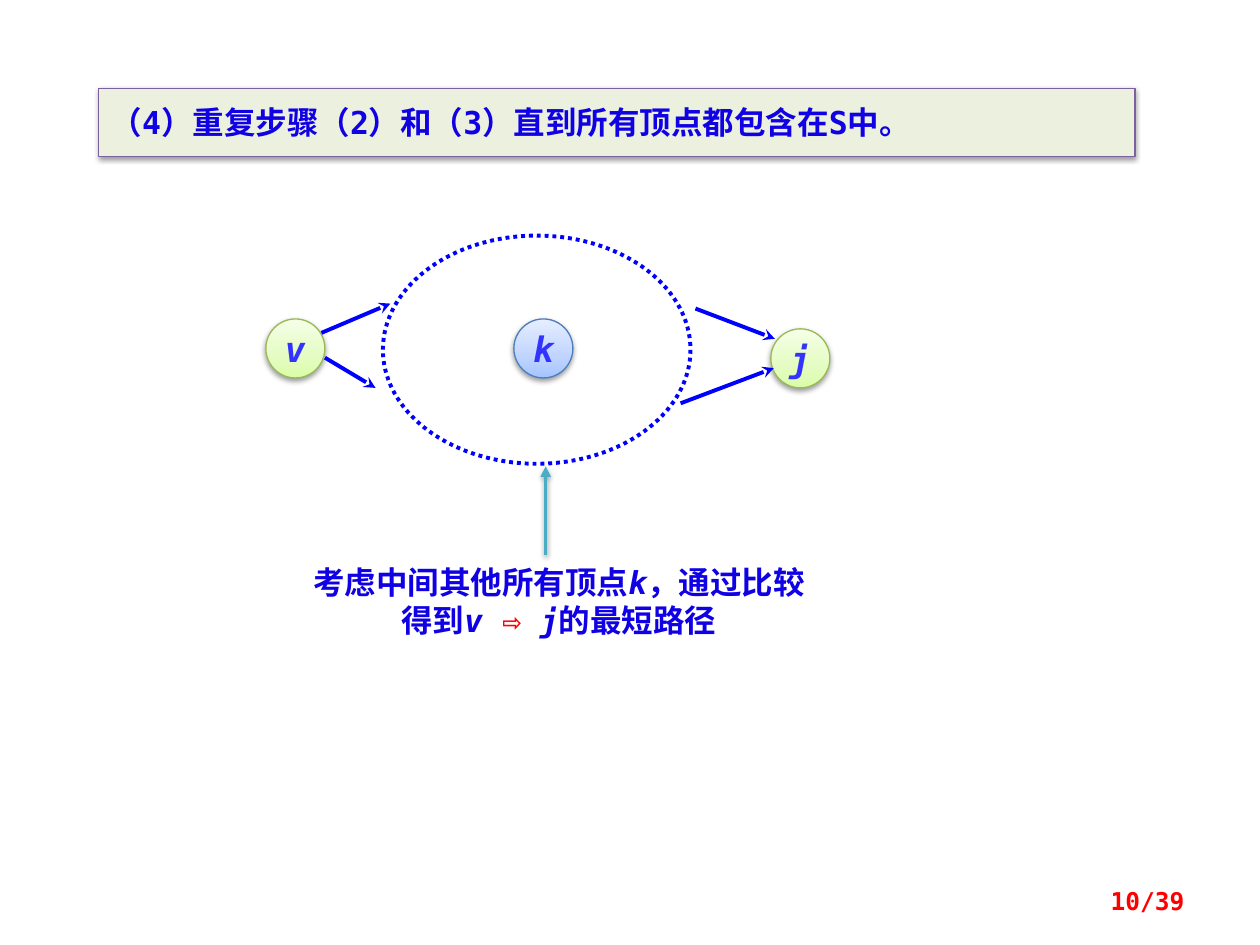
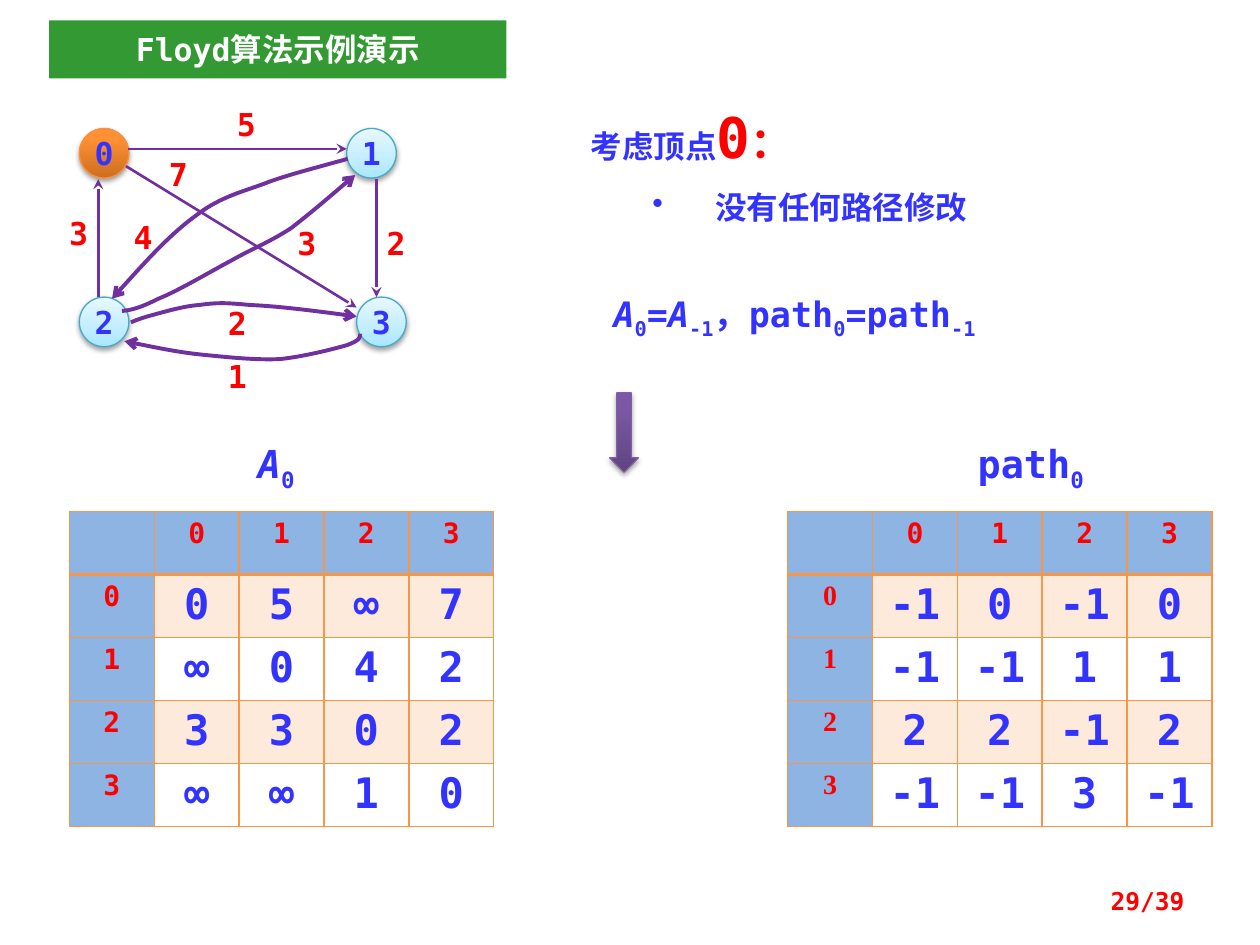
from copy import deepcopy
from lxml.etree import SubElement
from pptx import Presentation
from pptx.dml.color import RGBColor
from pptx.enum.dml import MSO_LINE
from pptx.enum.shapes import MSO_CONNECTOR, MSO_SHAPE
from pptx.enum.text import MSO_ANCHOR, PP_ALIGN
from pptx.oxml.ns import qn
from pptx.util import Cm, Pt

COLORS = {
    "ink": "1000E4", "blue": "3333FF", "red": "FF0000", "white": "FFFFFF",
    "arrow": "0000FF", "pointer": "4BACC6", "edge": "7030A0",
    "banner": "EBF1DE", "banner_line": "7D60A0", "title": "339933",
    "grid": "F79646", "head": "8EB4E3", "stripe": "FDEADA",
}
# Gradient stops from bottom to top, then the outline colour
GRADIENTS = {
    "green": ([(0, "DAFDA7"), (.35, "E4FCC2"), (1, "F5FFE7")], "98B955"),
    "blue": ([(0, "A4C4FF"), (.35, "BFD4FF"), (1, "E6EEFF")], "4B7EBC"),
    "cyan": ([(0, "A7E6FF"), (.35, "C1EDFF"), (1, "E7F8FF")], "46AAC5"),
    "orange": ([(0, "CC6E20"), (.8, "FF9034"), (1, "FF9136")], "F69240"),
    "purple": ([(0, "5F4480"), (.8, "7B58A6"), (1, "7C57A8")], "7D60A0"),
}
MONO, CJK, SERIF = "DejaVu Sans Mono", "Noto Sans CJK SC", "Times New Roman"
LEFT, CENTER, RIGHT = PP_ALIGN.LEFT, PP_ALIGN.CENTER, PP_ALIGN.RIGHT
PAGE_TOTAL = 39
SUB, ITALIC = {"sub": True}, {"italic": True}


def rgb(name):
    return RGBColor.from_string(COLORS.get(name, name))


class Deck:
    def __init__(self):
        self.prs = Presentation()
        self.prs.slide_width, self.prs.slide_height = Cm(25.4), Cm(19.05)
        self.shapes = None

    def new_slide(self, number):
        self.shapes = self.prs.slides.add_slide(self.prs.slide_layouts[6]).shapes
        self.text((18.21, 17.65, 5.92, 1.02), f"{number}/{PAGE_TOTAL}", 14, "red",
                  RIGHT, anchor=MSO_ANCHOR.MIDDLE)

    # Text: a string, or pairs of string and run overrides
    def style_run(self, run, size, color, font=MONO, italic=False, sub=False):
        run.font.size, run.font.bold, run.font.italic = Pt(size), True, italic
        run.font.name = font
        run.font.color.rgb = rgb(color)
        props = run.font._element
        SubElement(props, qn("a:ea")).set("typeface", CJK)
        if sub:
            props.set("baseline", "-25000")

    def fill_text(self, frame, content, size, color, align=LEFT, **base):
        pieces = [(content, {})] if isinstance(content, str) else content
        paragraph = frame.paragraphs[0]
        paragraph.alignment = align
        for words, changes in pieces:
            run = paragraph.add_run()
            run.text = words
            self.style_run(run, **{"size": size, "color": color, **base, **changes})
        return paragraph

    def set_frame(self, frame, insets=(.25, .13), anchor=MSO_ANCHOR.TOP, wrap=True):
        frame.word_wrap, frame.vertical_anchor = wrap, anchor
        frame.margin_left = frame.margin_right = Cm(insets[0])
        frame.margin_top = frame.margin_bottom = Cm(insets[1])

    def text(self, box, content, size, color, align=LEFT, insets=(.25, .13),
             anchor=MSO_ANCHOR.TOP, **base):
        frame = self.shapes.add_textbox(*map(Cm, box)).text_frame
        self.set_frame(frame, insets, anchor)
        return self.fill_text(frame, content, size, color, align, **base)

    def bullet(self, box, content):
        paragraph = self.text(box, content, 18, "blue", font=CJK)
        props = paragraph._p.get_or_add_pPr()
        props.set("marL", str(Cm(1.27)))
        props.set("indent", str(-Cm(1.27)))
        SubElement(props, qn("a:buChar")).set("char", "•")

    # Shapes
    def shadow(self, props, alpha=38):
        effects = props.find(qn("a:effectLst"))
        outer = SubElement(effects, qn("a:outerShdw"), blurRad=str(Pt(3.1)),
                           dist=str(Pt(1.6)), dir="5400000", rotWithShape="0")
        tint = SubElement(outer, qn("a:srgbClr"), val="000000")
        SubElement(tint, qn("a:alpha"), val=str(alpha * 1000))

    def shape(self, kind, box, fill=None, line=None, width=.75):
        shape = self.shapes.add_shape(kind, *map(Cm, box))
        shape.shadow.inherit = False
        if fill:
            shape.fill.solid()
            shape.fill.fore_color.rgb = rgb(fill)
        else:
            shape.fill.background()
        if line:
            shape.line.color.rgb = rgb(line)
            shape.line.width = Pt(width)
        else:
            shape.line.fill.background()
        return shape

    def glossy(self, kind, box, look):
        stops, outline = GRADIENTS[look]
        shape = self.shape(kind, box, line=outline)
        shape.fill.gradient()
        shape.fill.gradient_angle = 90
        stop_list = shape._element.spPr.find(".//" + qn("a:gsLst"))
        stop_list.append(deepcopy(stop_list[1]))
        for stop, (position, color) in zip(shape.fill.gradient_stops, stops):
            stop.position = position
            stop.color.rgb = rgb(color)
        self.shadow(shape._element.spPr)
        return shape

    def node(self, label, left, top, look, diameter, size, italic=False):
        node = self.glossy(MSO_SHAPE.OVAL, (left, top, diameter, diameter), look)
        self.set_frame(node.text_frame, anchor=MSO_ANCHOR.MIDDLE, wrap=False)
        self.fill_text(node.text_frame, label, size, "blue", CENTER, italic=italic)

    def box(self, box, content, color, fill, line=None, align=LEFT, insets=(.25, .3)):
        box = self.shape(MSO_SHAPE.RECTANGLE, box, fill, line)
        self.set_frame(box.text_frame, insets)
        self.fill_text(box.text_frame, content, 18, color, align)
        return box

    # Lines
    def stroke(self, line, color, width, head):
        line.color.rgb = rgb(color)
        line.width = Pt(width)
        SubElement(line._get_or_add_ln(), qn("a:tailEnd"), type=head)

    def arrow(self, start, end, color, width, head="stealth"):
        arrow = self.shapes.add_connector(MSO_CONNECTOR.STRAIGHT,
                                          *map(Cm, (*start, *end)))
        self.stroke(arrow.line, color, width, head)
        SubElement(arrow._element.spPr, qn("a:effectLst"))
        return arrow

    def curve(self, points):
        """Start point, then two control points and an end point per Bezier part."""
        start, *rest = [(Cm(x), Cm(y)) for x, y in points]
        builder = self.shapes.build_freeform(*start)
        builder.add_line_segments(rest, close=False)
        curve = builder.convert_to_shape()
        curve.shadow.inherit = False
        curve.fill.background()
        self.stroke(curve.line, "edge", 2.25, "arrow")
        outline = curve._element.spPr.find(".//" + qn("a:path"))
        steps = outline.findall(qn("a:lnTo"))
        for i in range(0, len(steps), 3):
            part = SubElement(outline, qn("a:cubicBezTo"))
            for step in steps[i:i + 3]:
                part.append(step[0])
                outline.remove(step)

    # Matrix with index headers
    def matrix(self, left, top, values, index_font=MONO):
        count = len(values) + 1
        table = self.shapes.add_table(count, count, Cm(left), Cm(top),
                                      Cm(1.71 * count), Cm(1.27 * count)).table
        for part in table.columns:
            part.width = Cm(1.71)
        for part in table.rows:
            part.height = Cm(1.27)
        indexes = list(range(count - 1))
        grid = [["", *indexes]] + [[i, *row] for i, row in zip(indexes, values)]
        for r, row in enumerate(grid):
            for c, value in enumerate(row):
                cell = table.cell(r, c)
                self.borders(cell, {"T": 2 if r == 1 else 1, "B": 1 if r else 2})
                if r == 0 or c == 0:
                    fill, look = "head", (16, "red")
                else:
                    fill, look = "stripe" if r % 2 else None, (24, "blue")
                if fill:
                    cell.fill.solid()
                    cell.fill.fore_color.rgb = rgb(fill)
                else:
                    cell.fill.background()
                if value != "":
                    font = index_font if c == 0 else MONO
                    self.fill_text(cell.text_frame, str(value), *look, CENTER, font=font)

    def borders(self, cell, widths):
        props = cell._tc.get_or_add_tcPr()
        for side in "LRTB":
            line = SubElement(props, qn("a:ln" + side), w=str(Pt(widths.get(side, 1))))
            SubElement(SubElement(line, qn("a:solidFill")), qn("a:srgbClr"),
                       val=COLORS["grid"])


deck = Deck()

# Slide 10: last step of the algorithm
deck.new_slide(10)
step = deck.box((1.98, 1.78, 20.9, 1.37), "（4）重复步骤（2）和（3）直到所有顶点都包含在S中。",
                "ink", "banner", "banner_line", PP_ALIGN.JUSTIFY)
deck.shadow(step._element.spPr)

for label, left, top, look in [("v", 5.36, 6.43, "green"), ("j", 15.54, 6.63, "green"),
                               ("k", 10.36, 6.43, "blue")]:
    deck.node(label, left, top, look, 1.19, 20, italic=True)
for start, end in [((6.48, 6.71), (7.87, 6.12)), ((6.55, 7.21), (7.57, 7.82)),
                   ((14.02, 6.22), (15.62, 6.83)), ((13.72, 8.13), (15.6, 7.42))]:
    deck.arrow(start, end, "arrow", 2.25)

middle_set = deck.shape(MSO_SHAPE.OVAL, (7.72, 4.75, 6.2, 4.6), None, "arrow", 2.25)
middle_set.line.dash_style = MSO_LINE.ROUND_DOT
pointer = deck.arrow((11, 11.18), (11, 9.4), "pointer", 2, "triangle")
deck.shadow(pointer._element.spPr)
deck.text((5.97, 11.23, 10.59, 1.8),
          [("考虑中间其他所有顶点", {}), ("k", ITALIC), ("，通过比较得到", {}),
           ("v ", ITALIC), ("⇨ ", {"color": "red"}), ("j", ITALIC),
           ("的最短路径", {})], 18, "ink", CENTER)

# Slide 29: worked example
deck.new_slide(29)
deck.box((.99, .41, 9.22, 1.17), "Floyd算法示例演示", "white", "title",
         align=CENTER, insets=(0, .2))

# Graph: nodes, straight edges, curved edges, weights
for label, left, top, look in [("0", 1.6, 2.59, "orange"), ("1", 6.99, 2.59, "cyan"),
                               ("2", 1.6, 5.99, "cyan"), ("3", 7.19, 5.99, "cyan")]:
    deck.node(label, left, top, look, 1, 18)
for start, end in [((2.59, 3), (6.99, 3)), ((1.98, 5.99), (1.98, 3.61)),
                   ((2.54, 3.35), (7.19, 6.2)), ((7.59, 3.61), (7.59, 5.99))]:
    deck.arrow(start, end, "edge", 1.5)
curved_edges = [
    [(7.26, 6.73), (7.26, 6.81), (7.26, 6.86), (6.99, 6.96), (6.71, 7.04),
     (6.12, 7.19), (5.64, 7.24), (5.18, 7.26), (4.67, 7.21), (4.17, 7.16),
     (3.63, 7.11), (3.07, 6.99), (2.51, 6.88)],
    [(2.64, 6.5), (2.69, 6.48), (2.74, 6.45), (2.97, 6.38), (3.2, 6.32),
     (3.68, 6.17), (4.01, 6.15), (4.37, 6.1), (4.52, 6.1), (5.05, 6.15),
     (5.56, 6.17), (6.38, 6.27), (7.19, 6.38)],
    [(7.01, 3.2), (6.93, 3.23), (6.83, 3.25), (6.55, 3.33), (6.3, 3.4),
     (5.87, 3.51), (5.44, 3.66), (5, 3.84), (4.47, 3.94), (3.96, 4.34),
     (3.43, 4.72), (2.84, 5.38), (2.26, 6.02)],
    [(2.46, 6.27), (2.67, 6.25), (2.84, 6.2), (3.2, 6.02), (3.58, 5.87),
     (4.22, 5.49), (4.65, 5.26), (5.11, 5), (5.44, 4.88), (5.87, 4.6),
     (6.27, 4.29), (6.71, 3.91), (7.16, 3.53)],
]
for points in curved_edges:
    deck.curve(points)
for weight, left, top in [("5", 4.37, 1.98), ("3", .99, 4.19), ("2", 7.39, 4.39),
                          ("7", 3, 3), ("3", 5.59, 4.39), ("1", 4.19, 7.06),
                          ("2", 4.19, 5.99), ("4", 2.29, 4.27)]:
    deck.text((left, top, 1.19, 1.02), weight, 18, "red", CENTER)

# Matrices
deck.text((4.95, 8.74, 1.78, 1.19), [("A", ITALIC), ("0", SUB)], 22, "blue")
deck.matrix(1.4, 10.31, [[0, 5, "∞", 7], ["∞", 0, 4, 2], [3, 3, 0, 2],
                         ["∞", "∞", 1, 0]])
deck.text((19.46, 8.74, 2.77, 1.19), [("path", {}), ("0", SUB)], 22, "blue")
deck.matrix(15.88, 10.31, [[-1, 0, -1, 0], [-1, -1, 1, 1], [2, 2, -1, 2],
                           [-1, -1, 3, -1]], SERIF)

# Explanation
deck.text((11.91, 2.06, 5.66, 1.37),
          [("考虑顶点", {}), ("0", {"size": 32, "color": "red"}),
           ("：", {"size": 24, "color": "red"})], 18, "blue", insets=(0, 0))
deck.bullet((12.9, 3.66, 7.75, 1.02), "没有任何路径修改")
deck.text((12.12, 5.77, 9.12, 1.12),
          [("A", ITALIC), ("0", SUB), ("=", {}), ("A", ITALIC), ("-1", SUB),
           ("，path", {}), ("0", SUB), ("=path", {}), ("-1", SUB)], 20, "blue")
deck.glossy(MSO_SHAPE.DOWN_ARROW, (12.29, 7.92, .58, 1.6), "purple")

deck.prs.save("out.pptx")
